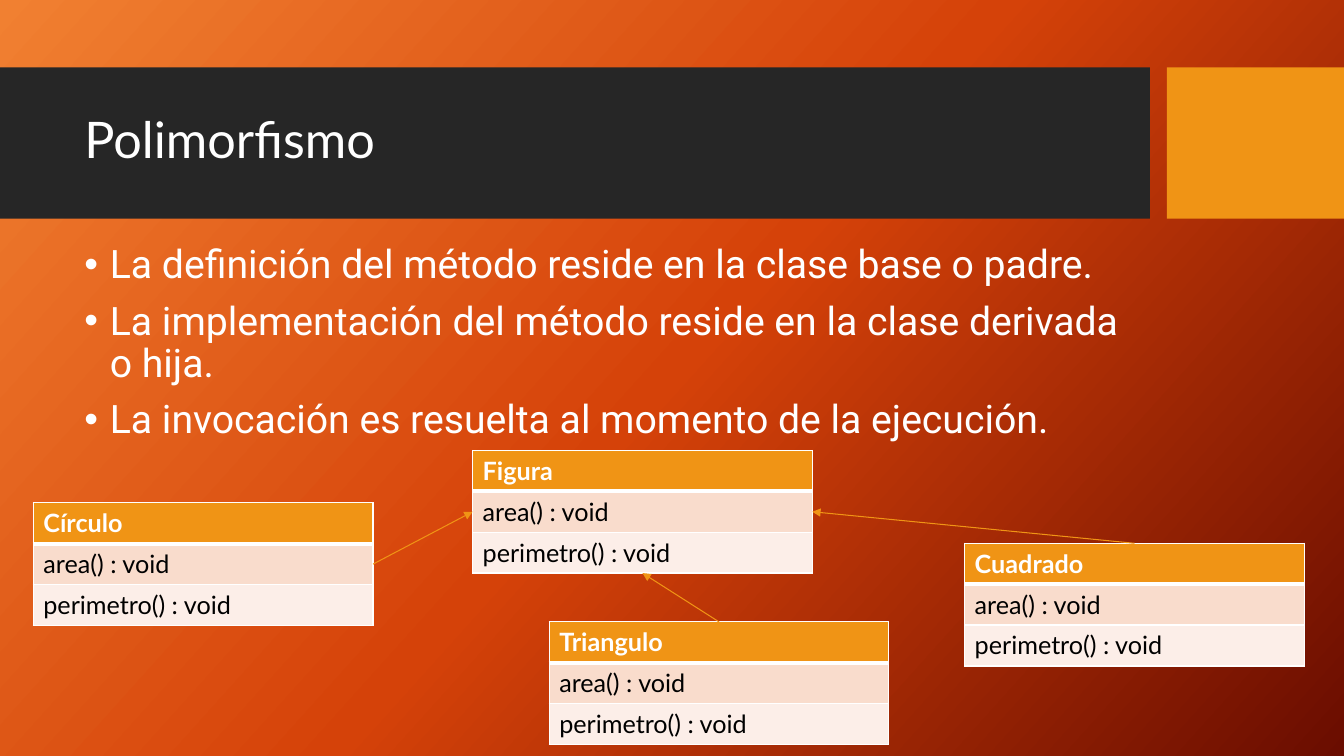
"""Builds a slide on polymorphism with four class tables and their links."""
from copy import deepcopy

from lxml import etree
from pptx import Presentation
from pptx import util as u
from pptx.dml.color import RGBColor
from pptx.enum import shapes, text
from pptx.oxml.ns import qn

TITLE = "Polimorfismo"
POINTS = [
    "La definición del método reside en la clase base o padre.",
    "La implementación del método reside en la clase derivada o hija.",
    "La invocación es resuelta al momento de la ejecución.",
]
METHODS = ["area() : void", "perimetro() : void"]
CLASSES = {
    "Figura": (11.91, 11.35),
    "Círculo": (0.84, 12.67),
    "Cuadrado": (24.31, 13.69),
    "Triangulo": (13.84, 15.67),
}
LINKS = [
    ("Cuadrado", "top", "right"),
    ("Círculo", "right", "left"),
    ("Triangulo", "top", "bottom"),
]
COLORS = {
    "white": "FFFFFF", "black": "000000", "banner": "262626",
    "accent": "F09415", "band1": "F9DCCC", "band2": "FCEEE8",
}
BACKDROP = [(0, "F18031"), (0.5, "D54209"), (1, "6A0D00")]
BLOCKS = [("banner", 0, 28.98), ("accent", 29.41, 4.46)]
ROW_STYLES = [("accent", "white", True), ("band1", "black", False), ("band2", "black", False)]
BOX_W, ROW_H = 8.56, 1.03
BOX_H = ROW_H * len(ROW_STYLES)
SITES = {"left": (0, 0.5), "right": (1, 0.5), "top": (0.5, 0), "bottom": (0.5, 1)}


def color(name):
    return RGBColor.from_string(COLORS[name])


def apply(obj, values):
    for key, value in values.items():
        setattr(obj, key, value)


def write(p, words, size, font, tint="white", bold=False):
    r = p.add_run()
    r.text = words
    apply(r.font, {"size": u.Pt(size), "name": font, "bold": bold})
    r.font.color.rgb = color(tint)


def paint_backdrop(slide):
    fill = slide.background.fill
    fill.gradient()
    fill.gradient_angle = 360 - 42
    stops = slide.element.find(".//" + qn("a:gsLst"))
    stops.append(deepcopy(stops[-1]))
    for stop, (position, tint) in zip(fill.gradient_stops, BACKDROP):
        stop.position = position
        stop.color.rgb = RGBColor.from_string(tint)


def add_block(slide, tint, left, width):
    sp = slide.shapes.add_shape(
        shapes.MSO_SHAPE.RECTANGLE, u.Cm(left), u.Cm(1.7), u.Cm(width), u.Cm(3.81))
    sp.shadow.inherit = False
    sp.fill.solid()
    sp.fill.fore_color.rgb = color(tint)
    sp.line.fill.background()


def add_box(slide, top, height, anchor):
    sp = slide.shapes.add_textbox(u.Cm(1.88), u.Cm(top), u.Cm(26.7), u.Cm(height))
    tf = sp.text_frame
    apply(tf, {"word_wrap": True, "vertical_anchor": anchor})
    return tf


def add_bullet(p):
    pPr = p._p.get_or_add_pPr()
    pPr.set("marL", str(u.Cm(0.64)))
    pPr.set("indent", str(-u.Cm(0.64)))
    etree.SubElement(pPr, qn("a:buFont"), typeface="Arial")
    etree.SubElement(pPr, qn("a:buChar"), char="•")


def add_borders(cell, row):
    tcPr = cell._tc.get_or_add_tcPr()
    widths = {"L": 1, "R": 1, "T": 3 if row == 1 else 1, "B": 3 if row == 0 else 1}
    for side, width in widths.items():
        ln = etree.SubElement(tcPr, qn("a:ln" + side), w=str(u.Pt(width)))
        fill = etree.SubElement(ln, qn("a:solidFill"))
        etree.SubElement(fill, qn("a:srgbClr"), val=COLORS["white"])


def add_class(slide, name, left, top):
    table = slide.shapes.add_table(
        len(ROW_STYLES), 1, u.Cm(left), u.Cm(top), u.Cm(BOX_W), u.Cm(BOX_H)).table
    for i, (words, (fill, tint, bold)) in enumerate(zip([name] + METHODS, ROW_STYLES)):
        table.rows[i].height = u.Cm(ROW_H)
        cell = table.cell(i, 0)
        add_borders(cell, i)
        cell.fill.solid()
        cell.fill.fore_color.rgb = color(fill)
        write(cell.text_frame.paragraphs[0], words, 18, "Lato", tint, bold)


def site(name, side):
    left, top = CLASSES[name]
    fx, fy = SITES[side]
    return u.Cm(left + fx * BOX_W), u.Cm(top + fy * BOX_H)


def add_link(slide, child, start, end):
    line = slide.shapes.add_connector(
        shapes.MSO_CONNECTOR.STRAIGHT, *site(child, start), *site("Figura", end))
    line.line.width = u.Pt(0.75)
    line.line.color.rgb = color("accent")
    etree.SubElement(line.line._get_or_add_ln(), qn("a:tailEnd"), type="triangle")
    etree.SubElement(line._element.spPr, qn("a:effectLst"))


def main():
    prs = Presentation()
    apply(prs, {"slide_width": u.Cm(33.87), "slide_height": u.Cm(19.05)})
    slide = prs.slides.add_slide(prs.slide_layouts[6])
    paint_backdrop(slide)
    for block in BLOCKS:
        add_block(slide, *block)

    p = add_box(slide, 2.08, 3, text.MSO_ANCHOR.MIDDLE).paragraphs[0]
    p.line_spacing = 0.9
    write(p, TITLE, 36, "Lato")

    tf = add_box(slide, 6.05, 10, text.MSO_ANCHOR.TOP)
    for i, point in enumerate(POINTS):
        p = tf.add_paragraph() if i else tf.paragraphs[0]
        apply(p, {"line_spacing": 0.9, "space_before": u.Pt(10)})
        add_bullet(p)
        write(p, point, 28, "Roboto")

    for name, place in CLASSES.items():
        add_class(slide, name, *place)
    for link in LINKS:
        add_link(slide, *link)
    prs.save("out.pptx")


if __name__ == "__main__":
    main()
